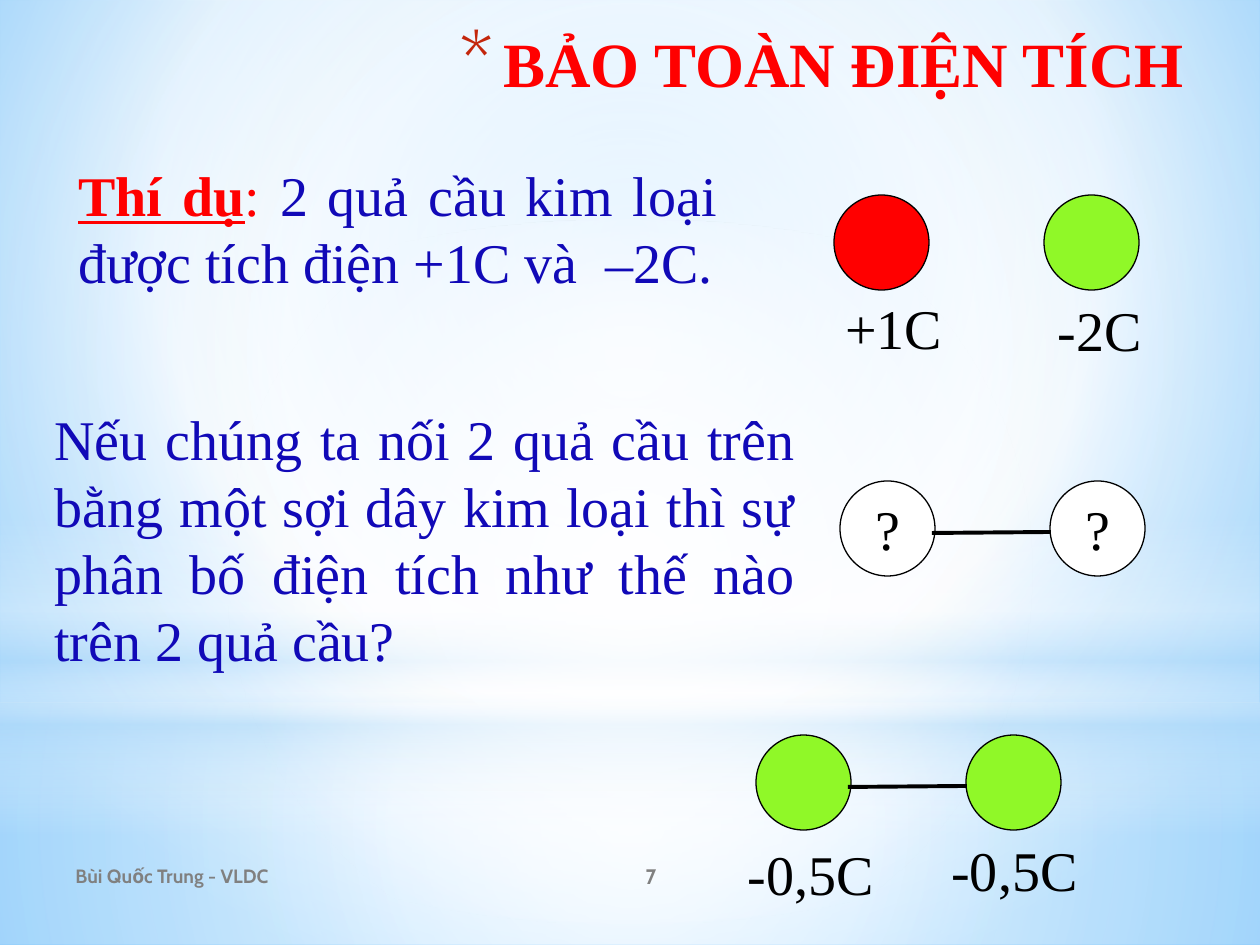
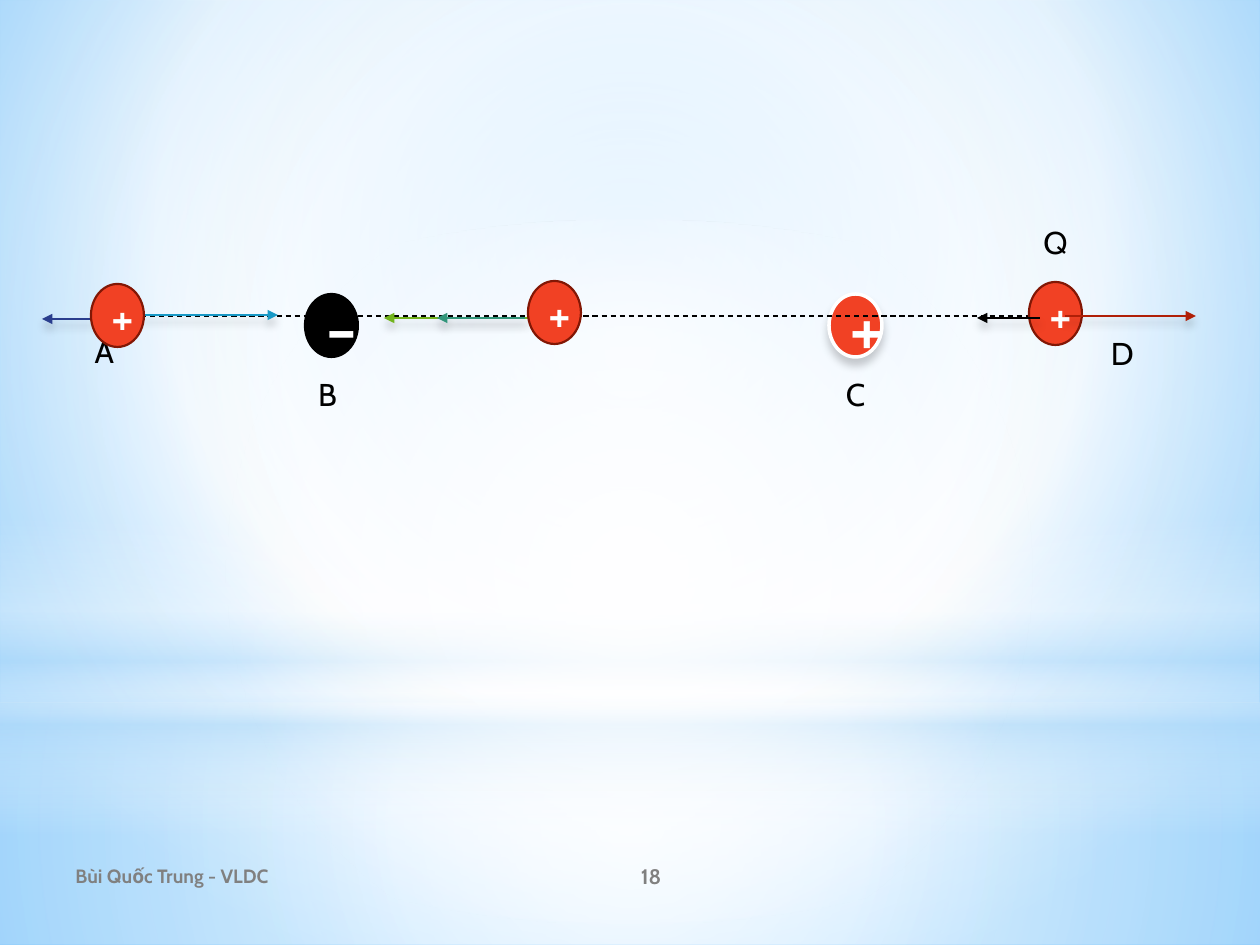
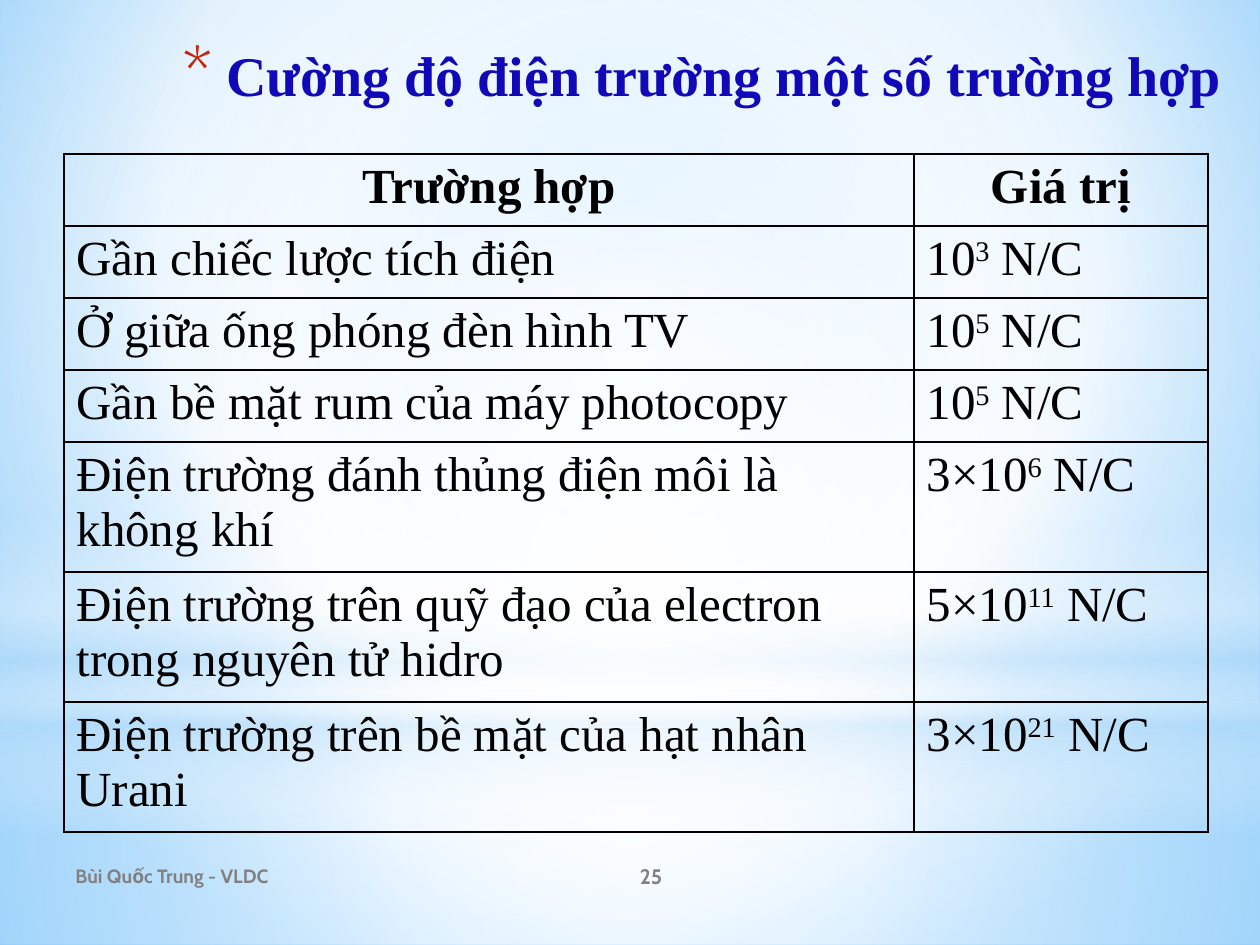
from dataclasses import dataclass
from typing import NamedTuple

from lxml import etree
from pptx import Presentation
from pptx.dml.color import RGBColor
from pptx.enum.dml import MSO_LINE
from pptx.enum.shapes import MSO_CONNECTOR, MSO_SHAPE
from pptx.enum.text import MSO_ANCHOR, MSO_AUTO_SIZE, PP_ALIGN
from pptx.oxml.ns import qn
from pptx.oxml.xmlchemy import OxmlElement
from pptx.util import Emu, Pt

EMU_PER_PX = 914400 / 126
LEFT, CENTER, RIGHT, JUSTIFY = PP_ALIGN.LEFT, PP_ALIGN.CENTER, PP_ALIGN.RIGHT, PP_ALIGN.JUSTIFY
TOP, MIDDLE = MSO_ANCHOR.TOP, MSO_ANCHOR.MIDDLE
OVAL, RECTANGLE = MSO_SHAPE.OVAL, MSO_SHAPE.RECTANGLE
STRAIGHT = MSO_CONNECTOR.STRAIGHT
DASH = MSO_LINE.DASH
NO_AUTOFIT = MSO_AUTO_SIZE.NONE
TITLE_ONLY, BLANK = 5, 6

SERIF, SANS = "Times New Roman", "Cabin"
COLORS = {
    "black": "000000", "white": "FFFFFF", "red": "FF0000", "blue": "1109B7",
    "green": "90F828", "gray": "808080", "bullet": "C3260C",
    "charge": "F14124", "charge edge": "821705", "mist": "B4DCFA",
    "sky": "9ED5FF", "deep sky": "5BB9FF", "crimson": "B01F07", "navy": "2A3E8E",
    "cyan": "1999C6", "lime": "72B41D", "teal": "31957A",
}


class Box(NamedTuple):
    left: int
    top: int
    width: int
    height: int


class Stop(NamedTuple):
    position: int
    color: str
    opacity: int = 100


class TextStyle(NamedTuple):
    size: int
    font: str = SERIF
    color: str = "black"
    bold: bool = False


@dataclass
class Panel:
    kind: int
    box: Box
    stops: list[Stop]
    center: tuple | None = (50, 50, 50, 50)


@dataclass
class SpherePair:
    left: int
    top: int
    fills: tuple
    text: str = ""
    wired: bool = False


@dataclass
class Charge:
    left: int
    top: int
    sign: str = "+"
    size: int = 28
    fill: str = "charge"
    edge: str = "charge edge"
    edge_width: float = 1.25
    shadow: bool = False


class Arrow(NamedTuple):
    start: int
    end: int
    y: int
    color: str


class Label(NamedTuple):
    text: str
    left: int
    top: int
    width: int = 53


BODY = TextStyle(32)
FOOTER = TextStyle(11, SANS, "gray", True)
PAGE_NUMBER = TextStyle(12, SANS, "gray", True)
POINT_NAME = TextStyle(18, SANS)

BACKGROUND = [Stop(0, "sky"), Stop(60, "white"), Stop(100, "deep sky")]
PANELS = [
    Panel(RECTANGLE, Box(0, 703, 1260, 242),
          [Stop(0, "white", 91), Stop(37, "white", 76), Stop(100, "mist", 79)]),
    Panel(RECTANGLE, Box(0, 0, 1260, 703),
          [Stop(0, "white", 89), Stop(48, "white", 62), Stop(100, "mist", 79)]),
    Panel(RECTANGLE, Box(0, 519, 1260, 315),
          [Stop(0, "white", 0), Stop(29, "white", 30), Stop(45, "mist", 40),
           Stop(55, "white", 26), Stop(65, "mist", 60), Stop(100, "white", 0)], None),
    Panel(OVAL, Box(0, 220, 1260, 703), [Stop(0, "white"), Stop(56, "white", 0)]),
]


# Shared helpers
def px(value: float) -> Emu:
    return Emu(round(value * EMU_PER_PX))


def place(box: Box) -> list:
    return [px(value) for value in box]


def rgb(name: str) -> RGBColor:
    return RGBColor.from_string(COLORS[name])


def add_child(parent, tag: str, **attributes):
    return etree.SubElement(parent, qn(tag), {key: str(value) for key, value in attributes.items()})


def set_gradient(owner, stops: list[Stop], center: tuple | None) -> None:
    """Replace the solid fill of owner; without a center it runs downwards."""
    gradient = OxmlElement("a:gradFill")
    stop_list = add_child(gradient, "a:gsLst")
    for stop in stops:
        item = add_child(stop_list, "a:gs", pos=stop.position * 1000)
        color = add_child(item, "a:srgbClr", val=COLORS[stop.color])
        if stop.opacity < 100:
            add_child(color, "a:alpha", val=stop.opacity * 1000)
    if center:
        shade = add_child(gradient, "a:path", path="circle")
        add_child(shade, "a:fillToRect",
                  **{side: share * 1000 for side, share in zip("ltrb", center)})
    else:
        add_child(gradient, "a:lin", ang=90 * 60000, scaled=0)
    owner.replace(owner.find(qn("a:solidFill")), gradient)


def add_soft_shadow(effects) -> None:
    shadow = add_child(effects, "a:outerShdw", blurRad=Pt(5), dist=Pt(4),
                       dir=90 * 60000, rotWithShape=0)
    color = add_child(shadow, "a:srgbClr", val=COLORS["black"])
    add_child(color, "a:alpha", val=20000)


def format_paragraph(paragraph, style: TextStyle, align) -> None:
    paragraph.alignment = align
    font = paragraph.font
    font.name, font.size, font.bold = style.font, Pt(style.size), style.bold
    font.color.rgb = rgb(style.color)


def write(shape, text: str, style: TextStyle, align=LEFT, anchor=TOP, wrap=True):
    frame = shape.text_frame
    frame.word_wrap, frame.vertical_anchor = wrap, anchor
    paragraph = frame.paragraphs[0]
    paragraph.text = text
    format_paragraph(paragraph, style, align)
    return paragraph


def add_text(slide, box: Box, text: str, style: TextStyle, align=LEFT, anchor=TOP, wrap=True):
    return write(slide.shapes.add_textbox(*place(box)), text, style, align, anchor, wrap)


def add_oval(slide, box: Box, fill: str, edge: str, edge_width: float):
    oval = slide.shapes.add_shape(OVAL, *place(box))
    oval.shadow.inherit = False
    oval.fill.solid()
    oval.fill.fore_color.rgb = rgb(fill)
    oval.line.color.rgb = rgb(edge)
    oval.line.width = Pt(edge_width)
    return oval


def add_line(slide, start: tuple, end: tuple, color: str, width: float,
             dashed: bool = False, arrow: bool = False) -> None:
    connector = slide.shapes.add_connector(STRAIGHT, *map(px, start + end))
    connector.line.color.rgb = rgb(color)
    connector.line.width = Pt(width)
    if dashed:
        connector.line.dash_style = DASH
    properties = connector._element.spPr
    effects = add_child(properties, "a:effectLst")
    if arrow:
        add_child(properties.find(qn("a:ln")), "a:tailEnd", type="triangle")
        add_soft_shadow(effects)


def add_title(slide, box: Box, text: str, style: TextStyle) -> None:
    title = slide.shapes.title
    title.left, title.top, title.width, title.height = place(box)
    title.text_frame.auto_size = NO_AUTOFIT
    properties = title.text_frame.paragraphs[0]._p.get_or_add_pPr()
    properties.set("marL", str(px(44)))
    properties.set("indent", str(px(-44)))
    add_child(add_child(properties, "a:buClr"), "a:srgbClr", val=COLORS["bullet"])
    add_child(properties, "a:buSzPct", val=128000)
    add_child(properties, "a:buFont", typeface=SANS)
    add_child(properties, "a:buChar", char="*")
    write(title, text, style, RIGHT)


def add_footer(slide, number: int) -> None:
    add_text(slide, Box(63, 851, 462, 50), "Bùi Quốc Trung - VLDC", FOOTER, LEFT, MIDDLE)
    add_text(slide, Box(525, 851, 252, 50), str(number), PAGE_NUMBER, CENTER, MIDDLE)


def dress_master(presentation, slide) -> None:
    """Draw the backdrop panels on a slide, then move them behind everything in the master."""
    master = presentation.slide_master
    master.background.fill.solid()
    set_gradient(master._element.find(".//" + qn("p:bgPr")), BACKGROUND, (20, 10, 20, 60))
    for index, panel in enumerate(PANELS):
        shape = slide.shapes.add_shape(panel.kind, *place(panel.box))
        shape.shadow.inherit = False
        shape.line.fill.background()
        shape.fill.solid()
        element = shape._element
        set_gradient(element.spPr, panel.stops, panel.center)
        element.nvSpPr.cNvPr.set("id", str(100 + index))
        master.shapes._spTree.insert(2 + index, element)


# Slide 1: conservation of charge
SPHERE, SPHERE_STEP = 95, 210
SPHERE_PAIRS = [
    SpherePair(834, 195, ("red", "green")),
    SpherePair(840, 481, ("white", "white"), "?", True),
    SpherePair(756, 735, ("green", "green"), wired=True),
]
SPHERE_LABELS = [
    Label("+1C", 833, 287, 123), Label("-2C", 1045, 289, 111),
    Label("-0,5C", 735, 833, 152), Label("-0,5C", 939, 829, 152),
]


def add_sphere_pair(slide, pair: SpherePair) -> None:
    for index, fill in enumerate(pair.fills):
        box = Box(pair.left + index * SPHERE_STEP, pair.top, SPHERE, SPHERE)
        sphere = add_oval(slide, box, fill, "black", 0.75)
        if pair.text:
            write(sphere, pair.text, BODY, CENTER, MIDDLE, wrap=False)
    if pair.wired:
        add_line(slide, (pair.left + 92, pair.top + 52),
                 (pair.left + SPHERE_STEP + 1, pair.top + 51), "black", 2.25)


def build_conservation(slide) -> None:
    add_title(slide, Box(63, 18, 1134, 120), "BẢO TOÀN ĐIỆN TÍCH",
              TextStyle(36, color="red", bold=True))
    statement = BODY._replace(color="blue")
    example = add_text(slide, Box(66, 154, 664, 149), "", statement, JUSTIFY)
    heading, colon, sentence = [example.add_run() for _ in range(3)]
    heading.text, colon.text = "Thí dụ", ": "
    sentence.text = "2 quả cầu kim loại được tích điện +1C và  –2C."
    heading.font.bold = heading.font.underline = True
    for run in (heading, colon):
        run.font.color.rgb = rgb("red")
    add_text(slide, Box(42, 398, 766, 348),
             "Nếu chúng ta nối 2 quả cầu trên bằng một sợi dây kim loại thì sự phân bố "
             "điện tích như thế nào trên 2 quả cầu?", statement, JUSTIFY)
    for pair in SPHERE_PAIRS:
        add_sphere_pair(slide, pair)
    for label in SPHERE_LABELS:
        add_text(slide, Box(label.left, label.top, label.width, 81), label.text, BODY, wrap=False)


# Slide 2: charges on a line
FIXED_CHARGES = [
    Charge(305, 294, "-", 44, "black", "black"),
    Charge(829, 294, "+", 44, edge="white", edge_width=2, shadow=True),
]
CHARGE_D = Charge(1029, 282)
FRONT_CHARGES = [Charge(91, 284), Charge(528, 281)]
POINT_LABELS = [
    Label("B", 301, 362), Label("C", 829, 362), Label("D", 1096, 321),
    Label("A", 78, 319), Label("Q", 1029, 210),
]
FORCES = [
    Arrow(1040, 977, 318, "black"), Arrow(1065, 1196, 316, "crimson"),
    Arrow(117, 42, 319, "navy"), Arrow(141, 278, 315, "cyan"),
    Arrow(532, 384, 318, "lime"), Arrow(525, 437, 318, "teal"),
]


def add_charge(slide, charge: Charge) -> None:
    oval = add_oval(slide, Box(charge.left, charge.top, 53, 63),
                    charge.fill, charge.edge, charge.edge_width)
    if charge.shadow:
        add_soft_shadow(oval._element.spPr.find(qn("a:effectLst")))
    write(oval, charge.sign, TextStyle(charge.size, SANS, "white"), CENTER, MIDDLE)


def build_charges(slide) -> None:
    for charge in FIXED_CHARGES:
        add_charge(slide, charge)
    add_line(slide, (105, 316), (1155, 316), "black", 0.75, dashed=True)
    for label in POINT_LABELS:
        add_text(slide, Box(label.left, label.top, label.width, 63), label.text,
                 POINT_NAME, CENTER, MIDDLE)
    add_charge(slide, CHARGE_D)
    for force in FORCES:
        add_line(slide, (force.start, force.y), (force.end, force.y),
                 force.color, 1.25, arrow=True)
    for charge in FRONT_CHARGES:
        add_charge(slide, charge)


# Slide 3: table of field strengths
HEADERS = ("Trường hợp", "Giá trị")
FIELDS = [
    ("Gần chiếc lược tích điện", "10", "3"),
    ("Ở giữa ống phóng đèn hình TV", "10", "5"),
    ("Gần bề mặt rum của máy photocopy", "10", "5"),
    ("Điện trường đánh thủng điện môi là không khí", "3×10", "6"),
    ("Điện trường trên quỹ đạo của electron trong nguyên tử hidro", "5×10", "11"),
    ("Điện trường trên bề mặt của hạt nhân Urani", "3×10", "21"),
]
COLUMN_WIDTHS = (850, 294)
ROW_HEIGHTS = (72, 72, 72, 72, 130, 130, 130)
CELL = TextStyle(28)


def format_cell(cell) -> None:
    cell.fill.background()
    properties = cell._tc.get_or_add_tcPr()
    for index, side in enumerate(("a:lnL", "a:lnR", "a:lnT", "a:lnB")):
        border = OxmlElement(side)
        border.set("w", str(Pt(1)))
        add_child(add_child(border, "a:solidFill"), "a:srgbClr", val=COLORS["black"])
        properties.insert(index, border)


def build_field_table(slide) -> None:
    add_title(slide, Box(44, 34, 1191, 78), "Cường độ điện trường một số trường hợp",
              TextStyle(32, color="blue", bold=True))
    box = Box(64, 154, sum(COLUMN_WIDTHS), sum(ROW_HEIGHTS))
    table = slide.shapes.add_table(len(ROW_HEIGHTS), len(COLUMN_WIDTHS), *place(box)).table
    table.first_row = table.horz_banding = False
    for column, width in zip(table.columns, COLUMN_WIDTHS):
        column.width = px(width)
    for row, height in zip(table.rows, ROW_HEIGHTS):
        row.height = px(height)
    for cell in table.iter_cells():
        format_cell(cell)
    for column, header in enumerate(HEADERS):
        paragraph = table.cell(0, column).text_frame.paragraphs[0]
        paragraph.text = header
        format_paragraph(paragraph, CELL._replace(bold=True), CENTER)
    for row, (situation, base, exponent) in enumerate(FIELDS, start=1):
        name, value = [table.cell(row, column).text_frame.paragraphs[0] for column in (0, 1)]
        name.text = situation
        for text in (base, exponent, " N/C"):
            run = value.add_run()
            run.text = text
            if text == exponent:
                run._r.get_or_add_rPr().set("baseline", "30000")
        for paragraph in (name, value):
            format_paragraph(paragraph, CELL, LEFT)


def main() -> None:
    presentation = Presentation()
    presentation.slide_width, presentation.slide_height = px(1260), px(945)
    pages = [(TITLE_ONLY, build_conservation, 7), (BLANK, build_charges, 18),
             (TITLE_ONLY, build_field_table, 25)]
    for layout, build, number in pages:
        slide = presentation.slides.add_slide(presentation.slide_layouts[layout])
        build(slide)
        add_footer(slide, number)
    dress_master(presentation, presentation.slides[0])
    presentation.save("out.pptx")


if __name__ == "__main__":
    main()
